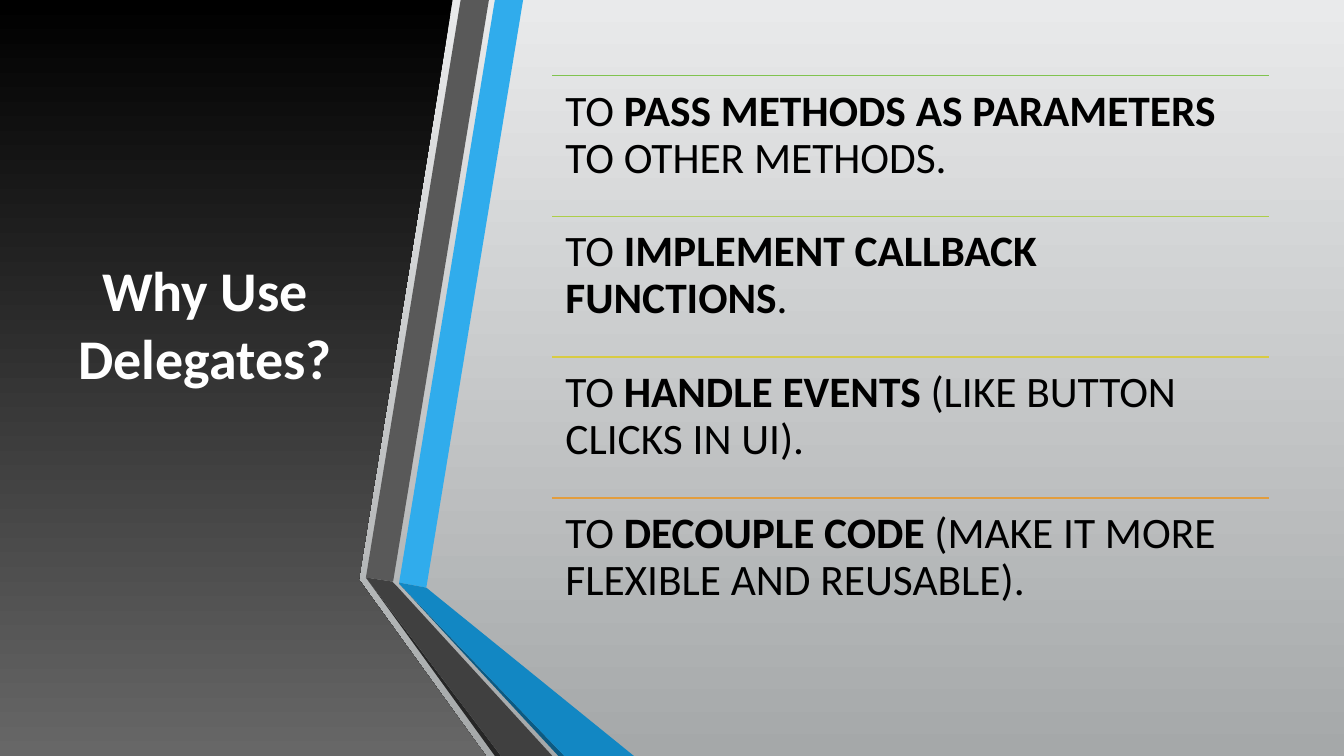
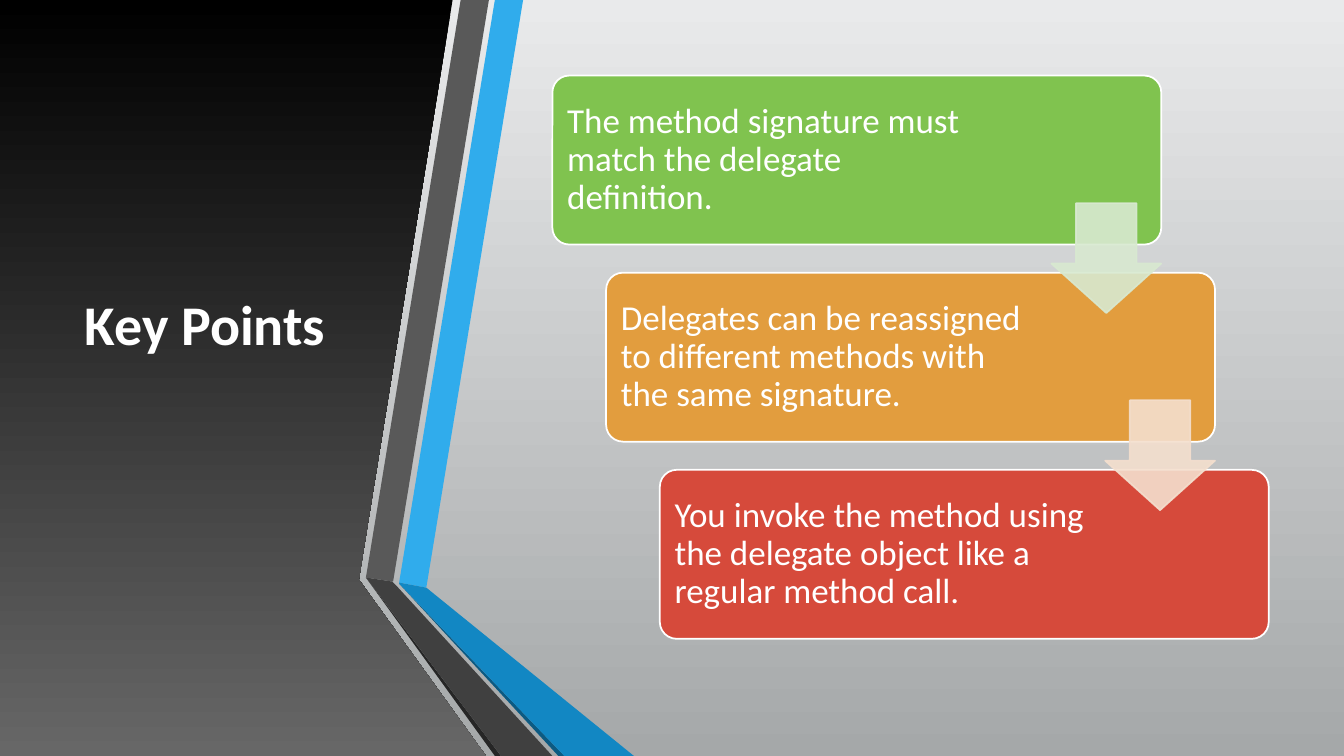
from lxml import etree
from pptx import Presentation
from pptx.dml.color import RGBColor
from pptx.enum.shapes import MSO_CONNECTOR, MSO_SHAPE
from pptx.enum.text import MSO_ANCHOR, PP_ALIGN
from pptx.oxml.ns import qn
from pptx.util import Inches, Pt

FONT = "Calibri"
WHITE = RGBColor(0xFF, 0xFF, 0xFF)
BLACK = RGBColor(0x00, 0x00, 0x00)
PALE = RGBColor(0xE9, 0xEA, 0xEB)
SILVER = RGBColor(0xA5, 0xA8, 0xA9)
GREY = RGBColor(0x67, 0x67, 0x67)
SKY = RGBColor(0x30, 0xAC, 0xEC)
BLUE = RGBColor(0x12, 0x87, 0xC3)
NAVY = RGBColor(0x0C, 0x5A, 0x82)
SLATE = RGBColor(0x59, 0x59, 0x59)
CHARCOAL = RGBColor(0x40, 0x40, 0x40)
COAL = RGBColor(0x26, 0x26, 0x26)
GREEN = RGBColor(0x80, 0xC3, 0x4F)
LIME = RGBColor(0xAD, 0xCE, 0x49)
YELLOW = RGBColor(0xD8, 0xCB, 0x43)
ORANGE = RGBColor(0xE2, 0x9D, 0x3E)
RED = RGBColor(0xD6, 0x4A, 0x3B)
PALE_GREEN = RGBColor(0xD8, 0xE9, 0xD0)
PALE_ORANGE = RGBColor(0xF4, 0xDF, 0xCE)

prs = Presentation()
prs.slide_width, prs.slide_height = W, H = Inches(13.333), Inches(7.5)

# Content area, as shares of the slide
LEFT, TOP = int(0.411 * W), int(0.1 * H)
WIDTH, HEIGHT = int(0.533 * W), int(0.745 * H)

# Side panel and folded bands, in hundredths of an inch
PANEL = [(0, 0), (449, 0), (356, 575), (482, 750), (0, 750)]
BANDS = [
    (SKY, [(396, 578), (423, 583), (519, 0), (491, 0)]),
    (SLATE, [(485, 0), (457, 0), (363, 573), (390, 577)]),
    (COAL, [(363, 573), (491, 750), (497, 750)]),
    (NAVY, [(396, 579), (554, 750), (560, 750)]),
    (BLUE, [(396, 578), (396, 579), (560, 750), (629, 750), (423, 583)]),
    (CHARCOAL, [(548, 750), (395, 583), (389, 577), (363, 573), (497, 750)]),
]


def shade(fill, top, bottom):
    fill.gradient()
    fill.gradient_angle = 270
    for stop, color in zip(fill.gradient_stops, (top, bottom)):
        stop.color.rgb = color


def outline(slide, points):
    fb = slide.shapes.build_freeform(*points[0], scale=Inches(0.01))
    fb.add_line_segments(points[1:], close=True)
    sp = fb.convert_to_shape()
    sp.shadow.inherit = False
    sp.line.fill.background()
    return sp


# Shared frame: background, panel, title, bands
slides = []
for title in ("Why Use Delegates?", "Key Points"):
    slide = prs.slides.add_slide(prs.slide_layouts[6])
    shade(slide.background.fill, PALE, SILVER)
    shade(outline(slide, PANEL).fill, BLACK, GREY)

    sp = slide.shapes.add_textbox(int(0.044 * W), TOP, int(0.217 * W), int(0.655 * H))
    tf = sp.text_frame
    tf.word_wrap = True
    tf.vertical_anchor = MSO_ANCHOR.MIDDLE
    p = tf.paragraphs[0]
    p.text = title
    p.alignment = PP_ALIGN.CENTER
    p.font.name, p.font.size, p.font.bold = FONT, Pt(40), True
    p.font.color.rgb = WHITE

    for color, points in BANDS:
        sp = outline(slide, points)
        sp.fill.solid()
        sp.fill.fore_color.rgb = color
    slides.append(slide)
reasons_slide, points_slide = slides

# Reasons: ruled rows; no-break spaces join the plain and bold words
REASONS = [
    (GREEN, "TO ", "PASS METHODS AS PARAMETERS", " TO OTHER METHODS."),
    (LIME, "TO ", "IMPLEMENT CALLBACK FUNCTIONS", "."),
    (YELLOW, "TO ", "HANDLE EVENTS", " (LIKE BUTTON CLICKS IN UI)."),
    (ORANGE, "TO ", "DECOUPLE CODE", " (MAKE IT MORE FLEXIBLE AND REUSABLE)."),
]
row = HEIGHT // len(REASONS)
for i, (color, *parts) in enumerate(REASONS):
    y = TOP + i * row
    rule = reasons_slide.shapes.add_connector(
        MSO_CONNECTOR.STRAIGHT, LEFT, y, LEFT + WIDTH, y)
    rule.line.color.rgb = color
    rule.line.width = Pt(1.25)
    etree.SubElement(rule._element.spPr, qn("a:effectLst"))

    tf = reasons_slide.shapes.add_textbox(LEFT, y, WIDTH, row).text_frame
    tf.word_wrap = True
    tf.margin_left = tf.margin_right = tf.margin_top = tf.margin_bottom = Inches(0.13)
    p = tf.paragraphs[0]
    p.line_spacing = 0.9
    p.font.name, p.font.size = FONT, Pt(31)
    p.font.color.rgb = BLACK
    for part, bold in zip(parts, (False, True, False)):
        r = p.add_run()
        r.text = part
        r.font.bold = bold

# Key points: staggered cards
POINTS = [
    (GREEN, "The method signature must match the delegate definition."),
    (ORANGE, "Delegates can be reassigned to different methods with the same signature."),
    (RED, "You invoke the method using the delegate object like a regular method call."),
]
card_w, card_h = int(0.85 * WIDTH), int(0.3 * HEIGHT)
step_x, step_y = int(0.075 * WIDTH), int(0.35 * HEIGHT)
for i, (color, text) in enumerate(POINTS):
    sp = points_slide.shapes.add_shape(
        MSO_SHAPE.ROUNDED_RECTANGLE,
        LEFT + i * step_x, TOP + i * step_y, card_w, card_h)
    sp.adjustments[0] = 0.1
    sp.shadow.inherit = False
    sp.fill.solid()
    sp.fill.fore_color.rgb = color
    sp.line.color.rgb = WHITE
    sp.line.width = Pt(1.25)
    tf = sp.text_frame
    tf.word_wrap = True
    tf.vertical_anchor = MSO_ANCHOR.MIDDLE
    tf.margin_left, tf.margin_right = Inches(0.1), Inches(1.76)
    p = tf.paragraphs[0]
    p.text = text
    p.alignment = PP_ALIGN.LEFT
    p.line_spacing = 0.9
    p.font.name, p.font.size = FONT, Pt(25)
    p.font.color.rgb = WHITE

# Translucent arrows from each card to the next
arrow = int(0.65 * card_h)
for i, color in enumerate((PALE_GREEN, PALE_ORANGE)):
    sp = points_slide.shapes.add_shape(
        MSO_SHAPE.DOWN_ARROW,
        LEFT + i * step_x + card_w - arrow,
        TOP + i * step_y + int(0.755 * card_h), arrow, arrow)
    sp.adjustments[0], sp.adjustments[1] = 0.55, 0.45
    sp.shadow.inherit = False
    sp.fill.solid()
    sp.fill.fore_color.rgb = color
    sp.line.color.rgb = color
    sp.line.width = Pt(1.25)
    for clr in sp._element.spPr.iter(qn("a:srgbClr")):
        etree.SubElement(clr, qn("a:alpha"), val="90000")

prs.save("out.pptx")
